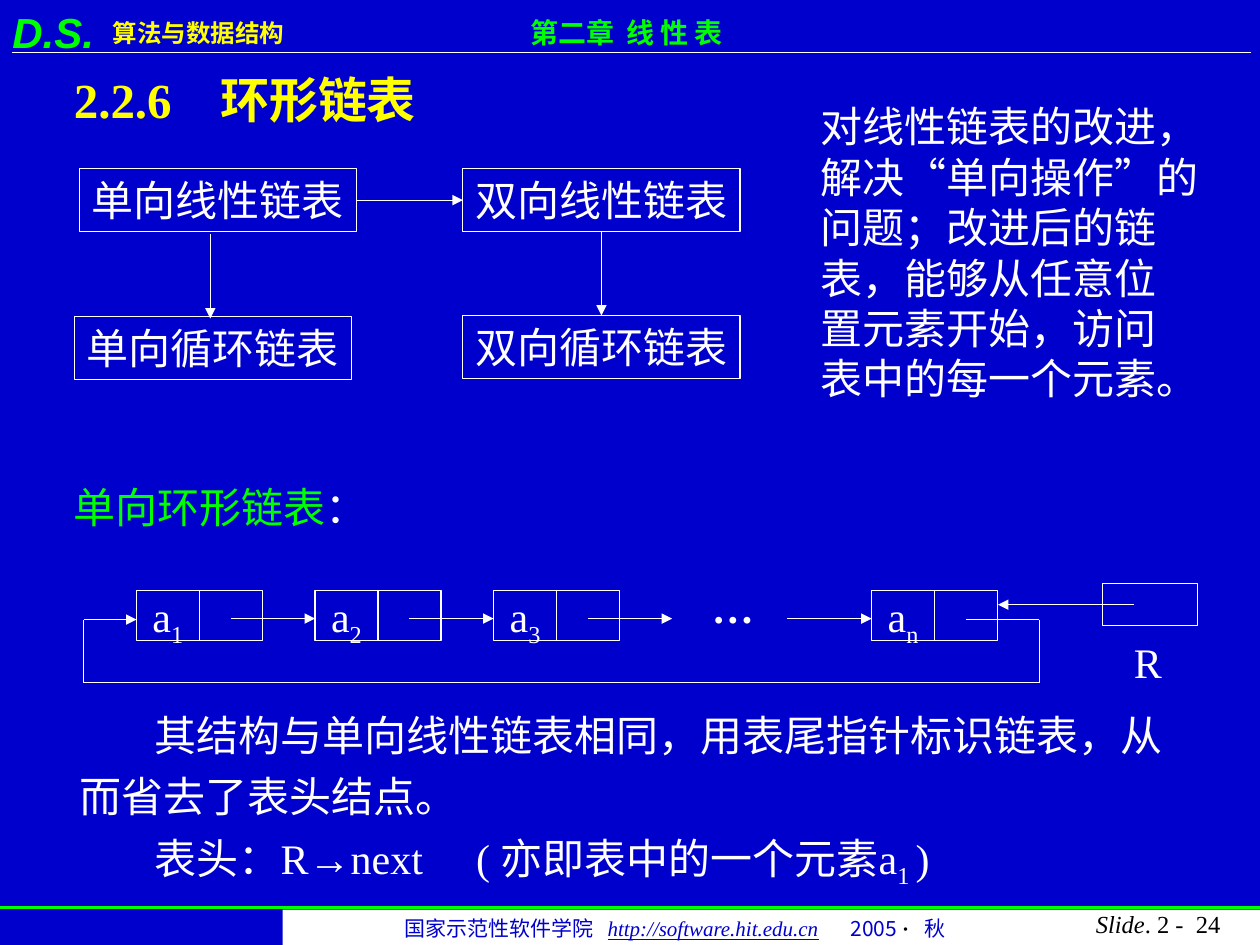
from lxml.etree import SubElement
from pptx import Presentation
from pptx.dml.color import RGBColor
from pptx.enum.shapes import MSO_CONNECTOR, MSO_SHAPE
from pptx.enum.text import MSO_ANCHOR, PP_ALIGN
from pptx.oxml.ns import qn
from pptx.util import Cm, Pt

BLUE, WHITE, GREEN, YELLOW, BLACK = "0000CC", "FFFFFF", "00FF00", "FFFF00", "000000"
SERIF, SANS = "Times New Roman", "Noto Sans CJK SC"
SUBSCRIPT = {"baseline": -25000}


def color(value):
    """Turn a hex string into a colour."""
    return RGBColor.from_string(value)


def style_font(font, size=None, name=None, fill=None, bold=None, italic=None, underline=None):
    """Set only the font properties that are given."""
    if size:
        font.size = Pt(size)
    if name:
        font.name = name
    if fill:
        font.fill.solid()
        font.fill.fore_color.rgb = color(fill)
    for key, value in (("bold", bold), ("italic", italic), ("underline", underline)):
        if value is not None:
            setattr(font, key, value)


def write_paragraph(paragraph, runs, align=PP_ALIGN.LEFT, spacing=None, indent=0, tabs=(), **style):
    """Fill a paragraph with (text, overrides) runs on a shared style."""
    paragraph.alignment = align
    if spacing:
        paragraph.line_spacing = spacing
    properties = paragraph._p.get_or_add_pPr()
    if indent:
        properties.set("marL", "0")
        properties.set("indent", str(Cm(indent)))
    if tabs:
        tab_list = SubElement(properties, qn("a:tabLst"))
        for position in tabs:
            SubElement(tab_list, qn("a:tab"), pos=str(Cm(position)), algn="l")
    style_font(paragraph.font, **{"size": 24, "name": SERIF, "fill": WHITE, **style})
    for text, overrides in runs:
        run = paragraph.add_run()
        run.text = text
        overrides = dict(overrides)
        baseline = overrides.pop("baseline", None)
        style_font(run.font, **overrides)
        if baseline:
            run._r.get_or_add_rPr().set("baseline", str(baseline))


def add_text(slide, place, *runs, **style):
    """Add a text box holding one paragraph and return its frame."""
    frame = slide.shapes.add_textbox(*map(Cm, place)).text_frame
    frame.word_wrap = True
    write_paragraph(frame.paragraphs[0], runs, **style)
    return frame


def add_rectangle(slide, place, fill=None, line=WHITE):
    """Add a plain rectangle."""
    shape = slide.shapes.add_shape(MSO_SHAPE.RECTANGLE, *map(Cm, place))
    shape.shadow.inherit = False
    if fill:
        shape.fill.solid()
        shape.fill.fore_color.rgb = color(fill)
    else:
        shape.fill.background()
    if line:
        shape.line.color.rgb = color(line)
        shape.line.width = Pt(0.75)
    else:
        shape.line.fill.background()
    return shape


def add_line(slide, start, end, arrow=False, stroke=WHITE, width=0.75):
    """Add a straight line, with an arrowhead at its end if wanted."""
    connector = slide.shapes.add_connector(MSO_CONNECTOR.STRAIGHT, *map(Cm, start + end))
    connector.line.color.rgb = color(stroke)
    connector.line.width = Pt(width)
    if arrow:
        SubElement(connector.line._get_or_add_ln(), qn("a:tailEnd"), type="triangle")
    SubElement(connector._element.spPr, qn("a:effectLst"))
    return connector


def add_list_type(slide, left, top, label):
    """Add a framed name of a kind of linked list."""
    shape = add_rectangle(slide, (left, top, 5.59, 1.27))
    frame = shape.text_frame
    frame.word_wrap = False
    frame.vertical_anchor = MSO_ANCHOR.TOP
    write_paragraph(frame.paragraphs[0], [(label, {})])
    return shape


def add_node(slide, left, index):
    """Add a list node: a data cell and a pointer cell."""
    cell = add_rectangle(slide, (left, 11.91, 1.27, 1))
    frame = cell.text_frame
    frame.vertical_anchor = MSO_ANCHOR.TOP
    frame.margin_top = frame.margin_bottom = 0
    write_paragraph(frame.paragraphs[0], [("a", {}), (index, SUBSCRIPT)], align=PP_ALIGN.CENTER)
    add_rectangle(slide, (left + 1.27, 11.91, 1.27, 1))


def add_frame(slide):
    """Add the header and the footer."""
    add_text(slide, (1.92, 0.23, 5, 0.86), ("算法与数据结构", {}),
             size=14, name=SANS, fill=YELLOW, bold=True, indent=0.1)
    add_line(slide, (0.25, 1.06), (25.22, 1.06))
    add_text(slide, (0, 0, 2.54, 1.27), ("D.S.", {}),
             name="Arial", fill=GREEN, bold=True, italic=True)
    add_line(slide, (0, 18.29), (25.4, 18.29), stroke=GREEN, width=2)
    add_text(slide, (10.44, 0.18, 5, 0.94), ("第二章\t线 性 表", {}),
             size=16, fill=GREEN, bold=True, tabs=[1.94])
    add_rectangle(slide, (5.7, 18.34, 19.7, 0.71), WHITE, None)
    add_text(slide, (7.9, 18.34, 12, 0.76),
             ("国家示范性软件学院\t", {"name": SANS}),
             ("http://software.hit.edu.cn", {"italic": True, "underline": True}),
             ("\t2005 ", {"name": SANS}),
             ("·\t", {"fill": BLACK, "bold": True}),
             ("秋", {"name": SANS}),
             size=12, fill=BLUE, tabs=[4.1, 9, 10.49])
    add_text(slide, (21.84, 18.21, 3.1, 0.86), ("Slide", {"italic": True}), (". 2 -\t24", {}),
             size=14, fill=BLACK, tabs=[2.02])


def add_list_types(slide):
    """Add the four kinds of list and the arrows between them."""
    single = add_list_type(slide, 1.6, 3.4, "单向线性链表")
    double = add_list_type(slide, 9.33, 3.4, "双向线性链表")
    add_list_type(slide, 1.5, 6.38, "单向循环链表")
    double_ring = add_list_type(slide, 9.33, 6.36, "双向循环链表")
    for begin, begin_side, end, end_side in ((single, 3, double, 1), (double, 2, double_ring, 0)):
        arrow = add_line(slide, (0, 0), (1, 1), arrow=True)
        arrow.begin_connect(begin, begin_side)
        arrow.end_connect(end, end_side)
    add_line(slide, (4.24, 4.72), (4.24, 6.42), arrow=True)


def add_ring(slide):
    """Add the circular list with its tail pointer R."""
    first, pitch, last = 2.75, 3.6, 17.57
    for position, index in enumerate("123"):
        left = first + position * pitch
        add_node(slide, left, index)
        add_line(slide, (left + 1.9, 12.47), (left + pitch, 12.47), arrow=True)
    add_node(slide, last, "n")
    add_line(slide, (last - 1.7, 12.47), (last, 12.47), arrow=True)
    add_text(slide, (14.1, 11.6, 1.4, 1.27), ("…", {}), bold=True)
    loop = [(19.47, 12.49), (20.95, 12.49), (20.95, 13.76), (1.69, 13.76), (1.69, 12.49), (first, 12.49)]
    for start, end in zip(loop, loop[1:]):
        add_line(slide, start, end, arrow=end == loop[-1])
    add_rectangle(slide, (22.23, 11.76, 1.91, 0.85))
    add_line(slide, (22.86, 12.19), (20.12, 12.19), arrow=True)
    add_text(slide, (22.61, 12.7, 1.2, 1.27), ("R", {}))


def main():
    """Build the slide on circular linked lists."""
    presentation = Presentation()
    presentation.slide_width, presentation.slide_height = Cm(25.4), Cm(19.05)
    slide = presentation.slides.add_slide(presentation.slide_layouts[6])
    slide.background.fill.solid()
    slide.background.fill.fore_color.rgb = color(BLUE)
    add_frame(slide)
    add_text(slide, (1.24, 1.27, 7.6, 1.45), ("2.2.6\t环形链表", {}),
             size=28, fill=YELLOW, bold=True, tabs=[2.95])
    add_list_types(slide)
    lines = ["对线性链表的改进，", "解决“单向操作”的", "问题；改进后的链",
             "表，能够从任意位", "置元素开始，访问", "表中的每一个元素。"]
    frame = add_text(slide, (16.3, 1.91, 8.3, 6.35), (lines[0], {}))
    for line in lines[1:]:
        write_paragraph(frame.add_paragraph(), [(line, {})])
    add_text(slide, (1.24, 9.58, 6.6, 1.27), ("单向环形链表", {"fill": GREEN}), ("：", {}))
    add_ring(slide)
    frame = add_text(slide, (1.35, 13.98, 22.6, 4.09),
                     ("其结构与单向线性链表相同，用表尾指针标识链表，从", {}), spacing=1.2, indent=1.52)
    write_paragraph(frame.add_paragraph(), [("而省去了表头结点。", {})], spacing=1.2)
    write_paragraph(frame.add_paragraph(),
                    [("\t表头：R→next\t( 亦即表中的一个元素a", {}), ("1 ", SUBSCRIPT), (")", {})],
                    spacing=1.2, tabs=[1.52, 8])
    presentation.save("out.pptx")


if __name__ == "__main__":
    main()
